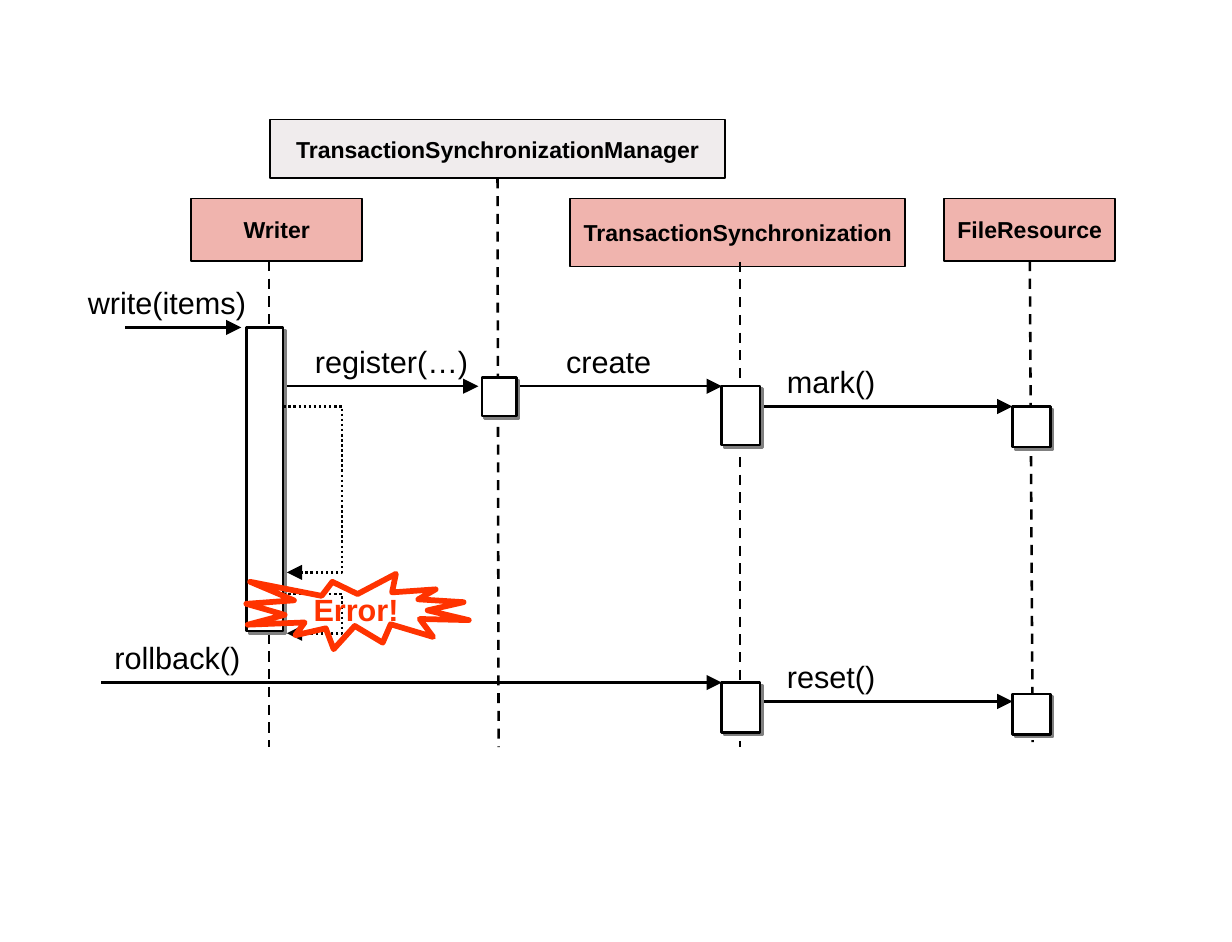
from lxml import etree
from pptx import Presentation
from pptx.dml.color import RGBColor
from pptx.enum.dml import MSO_LINE
from pptx.enum.shapes import MSO_CONNECTOR, MSO_SHAPE
from pptx.enum.text import MSO_ANCHOR, PP_ALIGN
from pptx.oxml.ns import qn
from pptx.util import Cm, Pt

BLACK = RGBColor(0x00, 0x00, 0x00)
WHITE = RGBColor(0xFF, 0xFF, 0xFF)
GREY = RGBColor(0xF0, 0xEC, 0xED)
PINK = RGBColor(0xF0, 0xB4, 0xAE)
RED = RGBColor(0xFF, 0x33, 0x00)
SHADOW = RGBColor(0x80, 0x80, 0x80)
RECT, SEAL = MSO_SHAPE.RECTANGLE, MSO_SHAPE.EXPLOSION1
STRAIGHT = MSO_CONNECTOR.STRAIGHT
DASH, DOT = MSO_LINE.DASH, MSO_LINE.ROUND_DOT
LEFT, CENTER = PP_ALIGN.LEFT, PP_ALIGN.CENTER
TOP, MIDDLE = MSO_ANCHOR.TOP, MSO_ANCHOR.MIDDLE
BOTTOM_SIDE = 2
FONT = "Arial"
LABEL_H = 0.68

# name, box, fill, lifeline start (None: middle of the bottom side), lifeline end
PARTICIPANTS = [
    ("TransactionSynchronizationManager", (3.73, 1.65, 6.27, 0.81), GREY, None, (6.88, 10.31)),
    ("TransactionSynchronization", (7.87, 2.74, 4.62, 0.94), PINK, (10.21, 3.61), (10.21, 10.31)),
    ("Writer", (2.64, 2.74, 2.36, 0.86), PINK, (3.71, 3.6), (3.71, 10.31)),
    ("FileResource", (13.03, 2.74, 2.36, 0.86), PINK, None, (14.25, 10.24)),
]
# text, arrow start x, arrow end x, y, label left, label width, alignment
MESSAGES = [
    ("write(items)", 1.73, 3.33, 4.52, 0.91, 2.79, CENTER),
    ("register(…)", 3.94, 6.6, 5.33, 4.06, 2.69, CENTER),
    ("create", 7.14, 9.96, 5.33, 7.09, 2.62, CENTER),
    ("mark()", 10.21, 13.97, 5.61, 10.16, 2.62, CENTER),
    ("rollback()", 1.4, 9.96, 9.42, 1.4, 2.3, LEFT),
    ("reset()", 10.21, 13.97, 9.68, 10.16, 2.62, CENTER),
]
ACTIVATIONS = [
    (3.4, 4.52, 0.51, 4.19),
    (6.65, 5.21, 0.48, 0.53),
    (9.96, 5.33, 0.53, 0.81),
    (13.97, 5.61, 0.53, 0.56),
    (9.96, 9.42, 0.53, 0.69),
    (13.97, 9.58, 0.53, 0.56),
]
SELF_CALLS = [(3.91, 5.61, 0.81, 2.29), (3.91, 8.2, 0.81, 0.54)]
ERROR_BOX = (3.4, 7.92, 3.07, 1.04)


def cm(*values):
    return [Cm(v) for v in values]


def set_line(s, width, color=BLACK, dash=None, arrow=False):
    s.line.color.rgb = color
    s.line.width = Pt(width)
    if dash:
        s.line.dash_style = dash
    if arrow:
        etree.SubElement(s.get_or_add_ln(), qn("a:tailEnd"), type="triangle")


def set_text(s, text, size=12, bold=False, color=BLACK, align=CENTER,
             anchor=TOP, wrap=True, inset=(0.18, 0.08)):
    tf = s.text_frame
    tf.word_wrap = wrap
    tf.vertical_anchor = anchor
    tf.margin_left = tf.margin_right = Cm(inset[0])
    tf.margin_top = tf.margin_bottom = Cm(inset[1])
    p = tf.paragraphs[0]
    p.alignment = align
    r = p.add_run()
    r.text = text
    r.font.name, r.font.size, r.font.bold = FONT, Pt(size), bold
    r.font.color.rgb = color


def add_box(slide, box, kind=RECT, fill=None, line=BLACK, width=1):
    s = slide.shapes.add_shape(kind, *cm(*box))
    s.shadow.inherit = False
    if fill is None:
        s.fill.background()
    else:
        s.fill.solid()
        s.fill.fore_color.rgb = fill
    set_line(s, width, line)
    return s


def add_line(slide, start, end, **fmt):
    s = slide.shapes.add_connector(STRAIGHT, *cm(*start, *end))
    set_line(s, 1, **fmt)
    etree.SubElement(s._element.spPr, qn("a:effectLst"))
    return s


def add_participant(slide, name, box, fill, start, end):
    """Header box with its dashed lifeline."""
    head = add_box(slide, box, fill=fill, width=0.75)
    set_text(head, name, size=9, bold=True, anchor=MIDDLE, wrap=False, inset=(0.13, 0.05))
    x, y, w, h = box
    lifeline = add_line(slide, start or (x + w / 2, y + h), end, dash=DASH)
    if start is None:
        lifeline.begin_connect(head, BOTTOM_SIDE)


def add_message(slide, text, x1, x2, y, left, width, align):
    """Arrow with its label standing on it."""
    add_line(slide, (x1, y), (x2, y), arrow=True)
    s = slide.shapes.add_textbox(*cm(left, y - LABEL_H, width, LABEL_H))
    set_text(s, text, align=align)


def add_activation(slide, box):
    s = add_box(slide, box, fill=WHITE)
    effects = s._element.spPr.find(qn("a:effectLst"))
    shadow = etree.SubElement(effects, qn("a:outerShdw"), blurRad="0", dist=str(Pt(1.4)),
                              dir="2700000", algn="ctr", rotWithShape="0")
    etree.SubElement(shadow, qn("a:srgbClr"), val=str(SHADOW))


def add_self_call(slide, box):
    """Dotted path out of the right side of an activation and back to it."""
    x, y, w, h = box
    path = slide.shapes.build_freeform(Cm(x), Cm(y))
    corners = [(x + w, y), (x + w, y + h), (x + 0.05, y + h)]
    path.add_line_segments([cm(*point) for point in corners], close=False)
    s = path.convert_to_shape()
    s.shadow.inherit = False
    s.fill.background()
    set_line(s, 1, dash=DOT, arrow=True)


def add_error(slide, box):
    s = add_box(slide, box, kind=SEAL, line=RED, width=2.25)
    set_text(s, "Error!", bold=True, color=RED, anchor=MIDDLE, wrap=False)


def main():
    prs = Presentation()
    prs.slide_width, prs.slide_height = cm(17, 13)
    slide = prs.slides.add_slide(prs.slide_layouts[6])
    for participant in PARTICIPANTS:
        add_participant(slide, *participant)
    for message in MESSAGES:
        add_message(slide, *message)
    for box in ACTIVATIONS:
        add_activation(slide, box)
    for box in SELF_CALLS:
        add_self_call(slide, box)
    add_error(slide, ERROR_BOX)
    prs.save("out.pptx")


if __name__ == "__main__":
    main()
